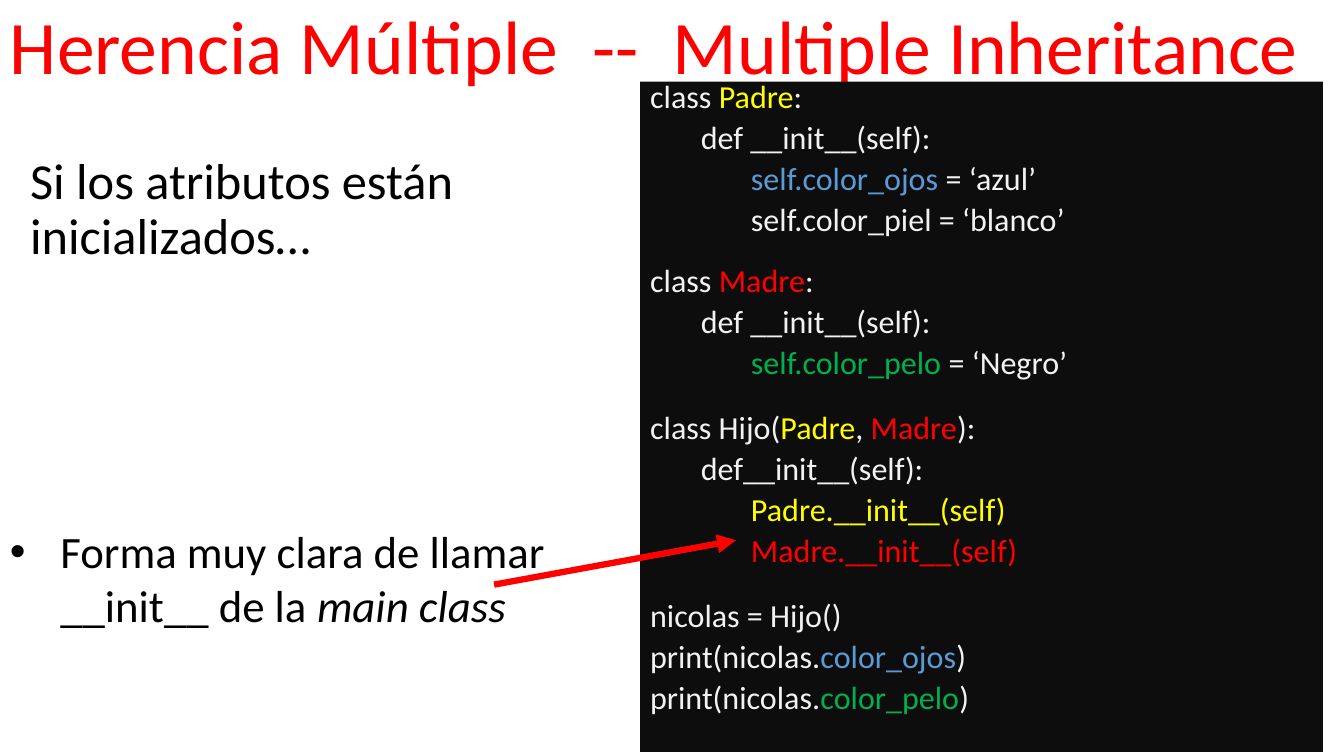
import pptx
import pptx.dml.color
import pptx.enum.shapes
import pptx.enum.text
import pptx.oxml.ns
import pptx.util
from lxml import etree

RGBColor = pptx.dml.color.RGBColor
RED = RGBColor(0xFF, 0x00, 0x00)
YELLOW = RGBColor(0xFF, 0xFF, 0x00)
BLUE = RGBColor(0x5B, 0x9B, 0xD5)
GREEN = RGBColor(0x00, 0xB0, 0x50)
BLACK = RGBColor(0x00, 0x00, 0x00)
PALE = RGBColor(0xF2, 0xF2, 0xF2)
PANEL = RGBColor(0x0D, 0x0D, 0x0D)

FONT = "Calibri"
WIDTH, HEIGHT = 13.33, 7.5
CODE_SIZE = 22.9
CODE_TAB = 1
LINE_GAP = 10
MADRE_GAP, BLOCK_GAP = 24.4, 27.3

CODE_LINES = [
    (0, [("class ", PALE), ("Padre", YELLOW), (":", PALE)]),
    (LINE_GAP, [("       def __init__(self):", PALE)]),
    (LINE_GAP, [("\t", PALE), ("self.color_ojos", BLUE), (" = ‘azul’", PALE)]),
    (LINE_GAP, [("\tself.color_piel = ‘blanco’", PALE)]),
    (MADRE_GAP, [("class ", PALE), ("Madre", RED), (":", PALE)]),
    (LINE_GAP, [("       def __init__(self):", PALE)]),
    (LINE_GAP, [("\t", PALE), ("self.color_pelo", GREEN), (" = ‘Negro’", PALE)]),
    (BLOCK_GAP, [("class Hijo(", PALE), ("Padre", YELLOW), (", ", PALE),
                 ("Madre", RED), ("):", PALE)]),
    (LINE_GAP, [("       def__init__(self):", PALE)]),
    (LINE_GAP, [("\t", PALE), ("Padre.__init__(self)", YELLOW)]),
    (LINE_GAP, [("\t", PALE), ("Madre.__init__(self)", RED)]),
    (BLOCK_GAP, [("nicolas = Hijo()", PALE)]),
    (LINE_GAP, [("print(nicolas.", PALE), ("color_ojos", BLUE), (")", PALE)]),
    (LINE_GAP, [("print(nicolas.", PALE), ("color_pelo", GREEN), (")", PALE)]),
]


def inches(*lengths):
    """Turn lengths in inches into slide units."""
    return [pptx.util.Inches(length) for length in lengths]


def add_element(parent, tag, **attributes):
    """Append a drawing element with the given attributes."""
    return etree.SubElement(parent, pptx.oxml.ns.qn(tag), **attributes)


def add_span(para, text, size, color, italic=None):
    """Append one formatted span of text to a paragraph."""
    span = para.add_run()
    span.text = text
    span.font.name = FONT
    span.font.size = pptx.util.Pt(size)
    span.font.color.rgb = color
    span.font.italic = italic


def add_text_box(page, box, anchor=pptx.enum.text.MSO_ANCHOR.TOP, spacing=1.0):
    """Add a wrapping text box and return its first paragraph."""
    frame = page.shapes.add_textbox(*inches(*box)).text_frame
    frame.word_wrap = True
    frame.vertical_anchor = anchor
    para = frame.paragraphs[0]
    para.line_spacing = spacing
    return para


def add_title(page, box):
    """Place the red heading at the bottom of its box."""
    para = add_text_box(page, box, pptx.enum.text.MSO_ANCHOR.BOTTOM, 0.9)
    add_span(para, "Herencia Múltiple  --  Multiple Inheritance", 54, RED)


def add_statement(page, box):
    """Place the introductory sentence."""
    para = add_text_box(page, box, spacing=0.9)
    add_span(para, "Si los atributos están inicializados…", 36, BLACK)


def add_code_panel(page, box):
    """Draw the dark panel and fill it with the coloured code."""
    panel = page.shapes.add_shape(
        pptx.enum.shapes.MSO_SHAPE.RECTANGLE, *inches(*box))
    panel.shadow.inherit = False
    panel.fill.solid()
    panel.fill.fore_color.rgb = PANEL
    panel.line.fill.background()
    frame = panel.text_frame
    frame.word_wrap = True
    frame.vertical_anchor = pptx.enum.text.MSO_ANCHOR.TOP
    for index, (gap, spans) in enumerate(CODE_LINES):
        para = frame.add_paragraph() if index else frame.paragraphs[0]
        para.alignment = pptx.enum.text.PP_ALIGN.LEFT
        para.line_spacing = 0.7
        para.space_before = pptx.util.Pt(gap)
        if spans[0][0].startswith("\t"):
            tabs = add_element(para._p.get_or_add_pPr(), "a:tabLst")
            add_element(tabs, "a:tab", pos=str(pptx.util.Inches(CODE_TAB)), algn="l")
        for text, color in spans:
            add_span(para, text, CODE_SIZE, color)


def add_bullet_note(page, box):
    """Place the bulleted remark with a hanging indent."""
    para = add_text_box(page, box)
    properties = para._p.get_or_add_pPr()
    indent = pptx.util.Inches(0.5)
    properties.set("marL", str(indent))
    properties.set("indent", str(-indent))
    add_element(properties, "a:buFont", typeface="Arial")
    add_element(properties, "a:buChar", char="•")
    add_span(para, "Forma muy clara de llamar __init__ de la ", 32, BLACK)
    add_span(para, "main class", 32, BLACK, italic=True)


def add_arrow(page, start, end):
    """Draw the red arrow from the remark to the code."""
    arrow = page.shapes.add_connector(
        pptx.enum.shapes.MSO_CONNECTOR.STRAIGHT, *inches(*start, *end))
    arrow.line.color.rgb = RED
    arrow.line.width = pptx.util.Pt(4.5)
    add_element(arrow.line._get_or_add_ln(), "a:tailEnd", type="triangle")
    add_element(arrow._element.spPr, "a:effectLst")


def main():
    """Build the slide and save it."""
    deck = pptx.Presentation()
    deck.slide_width, deck.slide_height = inches(WIDTH, HEIGHT)
    page = deck.slides.add_slide(deck.slide_layouts[6])
    add_title(page, (0, 0.03, 13.61, 0.92))
    add_statement(page, (0.2, HEIGHT * 0.2, 4.81, 1.3))
    add_code_panel(page, (6.35, 0.81, 6.77, 6.65))
    add_bullet_note(page, (0, 5.15, 5.86, 1.18))
    add_arrow(page, (4.9, 5.8), (7.3, 5.36))
    deck.save("out.pptx")


if __name__ == "__main__":
    main()
